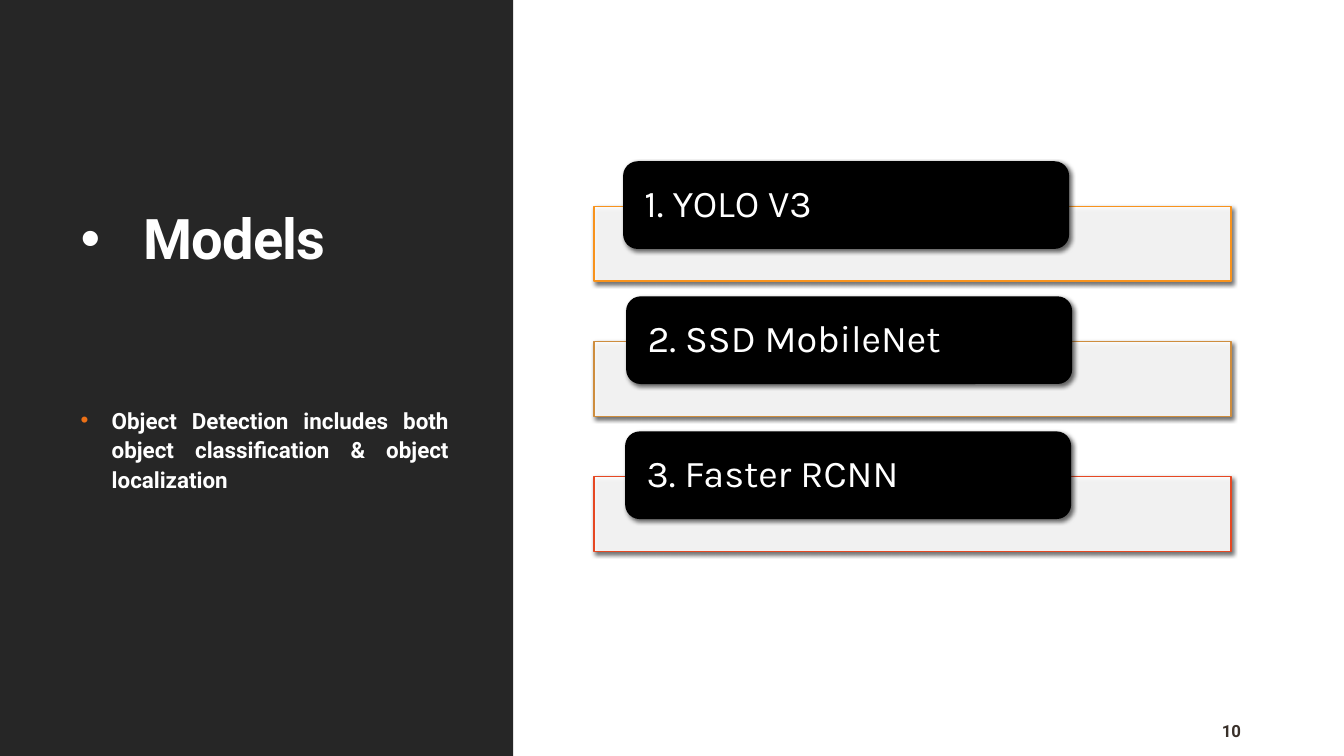
from lxml.etree import SubElement
from pptx import Presentation
from pptx.dml.color import RGBColor
from pptx.enum.shapes import MSO_SHAPE
from pptx.enum.text import MSO_ANCHOR, PP_ALIGN
from pptx.oxml.ns import qn
from pptx.util import Inches, Pt

COLORS = {
    "panel": "262626",
    "white": "FFFFFF",
    "black": "000000",
    "bullet": "EC7016",
    "number": "39302A",
    "yolo": "F8931D",
    "ssd": "CE8D3E",
    "rcnn": "E64823",
}
# Label, outline colour, offset of the label box from the bar
MODELS = [
    ("1. YOLO V3", "yolo", 0.29),
    ("2. SSD MobileNet", "ssd", 0.32),
    ("3. Faster RCNN", "rcnn", 0.31),
]


def color(name):
    return RGBColor.from_string(COLORS[name])


def add_element(parent, tag, **attributes):
    return SubElement(parent, qn(tag), attributes)


def write_text(shape, text, size, font="Roboto", fill="white", bold=False,
               align=PP_ALIGN.LEFT, anchor=MSO_ANCHOR.MIDDLE, line_spacing=1.0,
               space_after=0, indent=0, bullet_color=None, spacing=0, insets=None):
    """Fill a shape with one formatted paragraph; an indent gives it a bullet."""
    frame = shape.text_frame
    frame.word_wrap = True
    frame.vertical_anchor = anchor
    if insets:
        frame.margin_left = frame.margin_right = Inches(insets[0])
        frame.margin_top = frame.margin_bottom = Inches(insets[1])
    paragraph = frame.paragraphs[0]
    paragraph.alignment = align
    paragraph.line_spacing = line_spacing
    paragraph.space_after = Pt(space_after)
    if indent:
        properties = paragraph._p.get_or_add_pPr()
        properties.set("marL", str(Inches(indent)))
        properties.set("indent", str(-Inches(indent)))
        if bullet_color:
            bullet_fill = add_element(properties, "a:buClr")
            add_element(bullet_fill, "a:srgbClr", val=COLORS[bullet_color])
        add_element(properties, "a:buFont", typeface="Arial")
        add_element(properties, "a:buChar", char="•")
    run = paragraph.add_run()
    run.text = text
    run.font.size = Pt(size)
    run.font.name = font
    run.font.bold = bold
    run.font.color.rgb = color(fill)
    if spacing:
        run._r.get_or_add_rPr().set("spc", str(int(spacing * 100)))


def add_text(slide, left, top, width, height, text, size, **formatting):
    box = slide.shapes.add_textbox(Inches(left), Inches(top), Inches(width), Inches(height))
    write_text(box, text, size, **formatting)


def add_box(slide, kind, left, top, width, height, fill, line=None, opacity=100, shadow=False):
    shape = slide.shapes.add_shape(kind, Inches(left), Inches(top), Inches(width), Inches(height))
    shape.fill.solid()
    shape.fill.fore_color.rgb = color(fill)
    if opacity < 100:
        fill_color = shape._element.spPr.find(qn("a:solidFill"))[0]
        add_element(fill_color, "a:alpha", val=str(opacity * 1000))
    if line:
        shape.line.color.rgb = color(line)
        shape.line.width = Pt(1)
    else:
        shape.line.fill.background()
    shape.shadow.inherit = False
    if shadow:
        effects = shape._element.spPr.find(qn("a:effectLst"))
        outer = add_element(effects, "a:outerShdw", blurRad=str(Pt(3)), dist=str(Pt(2)),
                            dir=str(45 * 60000), algn="tl", rotWithShape="0")
        shadow_color = add_element(outer, "a:srgbClr", val=COLORS["black"])
        add_element(shadow_color, "a:alpha", val="60000")
    return shape


def add_side_panel(slide, left, top, width, height):
    add_box(slide, MSO_SHAPE.RECTANGLE, left, top, width, height, "panel")
    text_left, text_width = left + 0.7, width - 1.24
    add_text(slide, text_left, top + 1.25, text_width, 2.29, "Models", 40, bold=True,
             line_spacing=0.9, indent=0.62, spacing=-0.5)
    add_text(slide, text_left, top + 3.96, text_width, 1.38,
             "Object Detection includes both object classification & object localization",
             16, bold=True, align=PP_ALIGN.JUSTIFY, anchor=MSO_ANCHOR.TOP,
             line_spacing=1.1, space_after=2, indent=0.31, bullet_color="bullet")


def add_model_list(slide, left, top, width, pitch):
    for index, (label, outline, offset) in enumerate(MODELS):
        row_top = top + index * pitch
        # Wide bar behind the label
        add_box(slide, MSO_SHAPE.RECTANGLE, left, row_top + 0.45, width, 0.74, "white",
                line=outline, opacity=90, shadow=True)
        # Black label
        pill = add_box(slide, MSO_SHAPE.ROUNDED_RECTANGLE, left + offset, row_top,
                       width * 0.7, 0.87, "black", shadow=True)
        write_text(pill, label, 27, font="Karla", line_spacing=0.9, insets=(0.17, 0))


def main():
    presentation = Presentation()
    presentation.slide_width = Inches(13.33)
    presentation.slide_height = Inches(7.5)
    slide = presentation.slides.add_slide(presentation.slide_layouts[6])
    add_side_panel(slide, 0, 0, 5.09, 7.5)
    add_model_list(slide, 5.89, 1.6, 6.32, 1.34)
    # Slide number
    add_text(slide, 12.02, 7.05, 0.85, 0.4, "10", 12, fill="number", bold=True)
    presentation.save("out.pptx")


if __name__ == "__main__":
    main()
